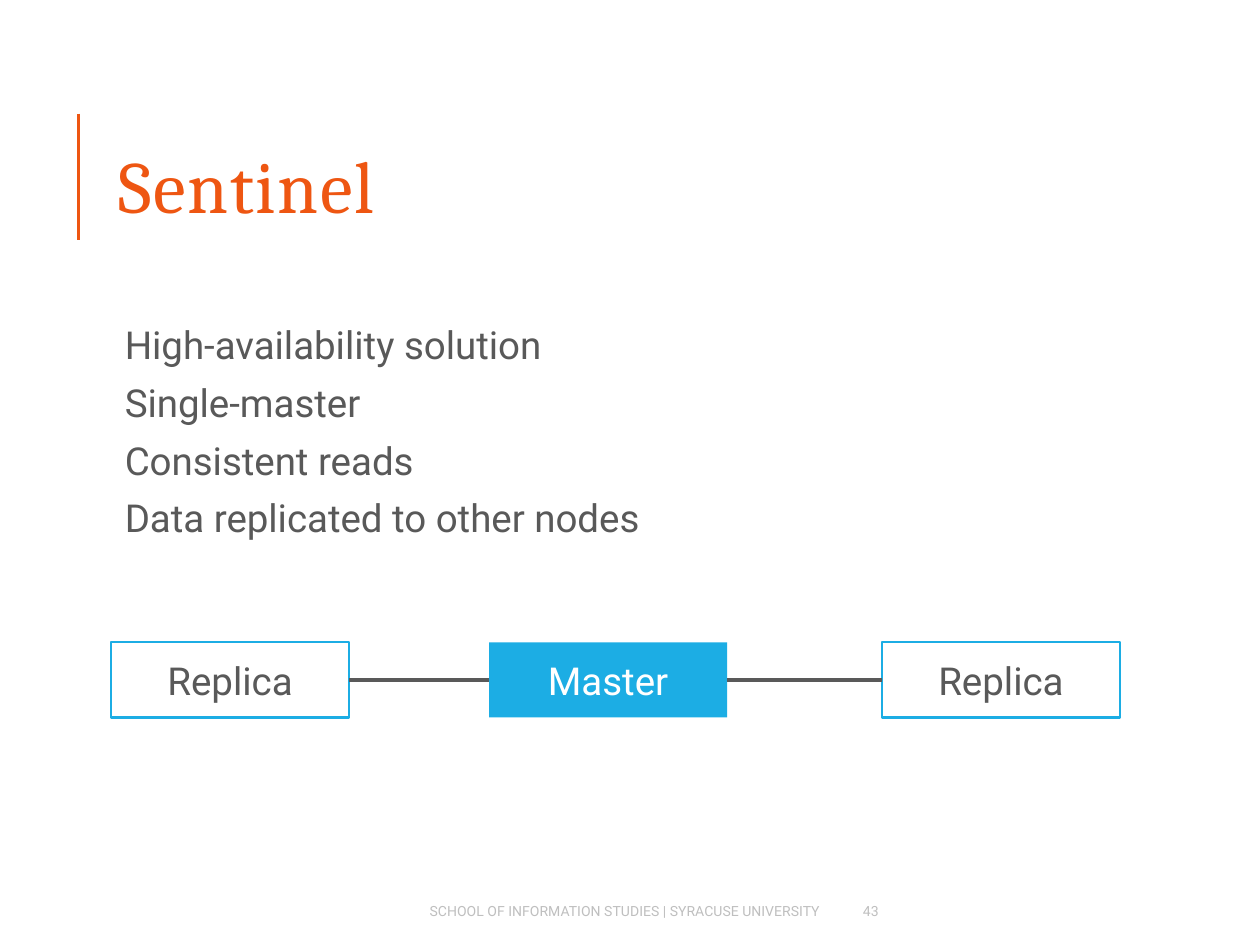
import pptx
import pptx.util
import pptx.dml.color
import pptx.enum.shapes
import pptx.enum.text
import lxml.etree

Pt = pptx.util.Pt
RGB = pptx.dml.color.RGBColor
ALIGN = pptx.enum.text.PP_ALIGN
MIDDLE = pptx.enum.text.MSO_ANCHOR.MIDDLE
TOP = pptx.enum.text.MSO_ANCHOR.TOP
ORANGE = RGB(0xEE, 0x56, 0x12)
BLUE = RGB(0x1C, 0xAD, 0xE4)
GRAY = RGB(0x59, 0x59, 0x59)
PALE = RGB(0xBF, 0xBF, 0xBF)
WHITE = RGB(0xFF, 0xFF, 0xFF)


def write(para, text, size, color, face="Roboto", align=ALIGN.LEFT):
    """Add one formatted run to a paragraph."""
    para.alignment = align
    run = para.add_run()
    run.text = text
    run.font.size = Pt(size)
    run.font.name = face
    run.font.color.rgb = color
    return run


def add_title(slide, text):
    """Place and fill the title."""
    title = slide.shapes.title
    title.left, title.top, title.width, title.height = Pt(60.5), Pt(46), Pt(574), Pt(118)
    frame = title.text_frame
    frame.auto_size = pptx.enum.text.MSO_AUTO_SIZE.NONE
    frame.vertical_anchor = MIDDLE
    run = write(frame.paragraphs[0], text, 42, ORANGE, "Cambria")
    run._r.get_or_add_rPr().set("spc", "100")


def add_text(slide, box, anchor=MIDDLE):
    """Add a wrapping text box and return its frame."""
    frame = slide.shapes.add_textbox(*map(Pt, box)).text_frame
    frame.word_wrap = True
    frame.vertical_anchor = anchor
    return frame


def add_list(slide, items):
    """Add the list of points."""
    frame = add_text(slide, (60.5, 180, 574, 139), TOP)
    frame.margin_left = Pt(10.8)
    frame.margin_right = frame.margin_top = frame.margin_bottom = Pt(3.6)
    for i, item in enumerate(items):
        para = frame.add_paragraph() if i else frame.paragraphs[0]
        para.space_before = Pt(6.6 if i else 0)
        write(para, item, 22, GRAY)


def add_node(slide, left, text, main=False):
    """Add a node box, filled when it is the main one."""
    kind = pptx.enum.shapes.MSO_SHAPE.RECTANGLE
    node = slide.shapes.add_shape(kind, Pt(left), Pt(367), Pt(136), Pt(43))
    node.shadow.inherit = False
    if main:
        node.fill.solid()
        node.fill.fore_color.rgb = BLUE
        node.line.fill.background()
    else:
        node.fill.background()
        node.line.color.rgb = BLUE
        node.line.width = Pt(1.25)
    frame = node.text_frame
    frame.vertical_anchor = MIDDLE
    write(frame.paragraphs[0], text, 22, WHITE if main else GRAY, align=ALIGN.CENTER)
    return node


def add_line(slide, ends, color, width):
    """Add a straight line without a shadow."""
    kind = pptx.enum.shapes.MSO_CONNECTOR.STRAIGHT
    line = slide.shapes.add_connector(kind, *map(Pt, ends))
    line.line.color.rgb = color
    line.line.width = Pt(width)
    tag = pptx.oxml.ns.qn("a:effectLst")
    lxml.etree.SubElement(line._element.spPr, tag)
    return line


def link(slide, left, right):
    """Join the facing sides of two nodes."""
    line = add_line(slide, (0, 0, 0, 0), GRAY, 2)
    line.begin_connect(left, 3)
    line.end_connect(right, 1)


def main():
    """Build the slide and save it."""
    deck = pptx.Presentation()
    deck.slide_width, deck.slide_height = Pt(720), Pt(540)
    slide = deck.slides.add_slide(deck.slide_layouts[5])
    add_line(slide, (44.8, 65, 44.8, 137), ORANGE, 1.5)
    add_title(slide, "Sentinel")
    add_list(slide, ("High-availability solution", "Single-master",
                     "Consistent reads", "Data replicated to other nodes"))
    foot = add_text(slide, (136, 509.5, 340, 22))
    write(foot.paragraphs[0], "SCHOOL OF INFORMATION STUDIES | SYRACUSE UNIVERSITY",
          8, PALE, align=ALIGN.RIGHT)
    number = add_text(slide, (486, 509.5, 65.5, 22))
    write(number.paragraphs[0], "43", 8, PALE)
    first = add_node(slide, 63.5, "Replica")
    master = add_node(slide, 279.5, "Master", True)
    last = add_node(slide, 504, "Replica")
    link(slide, first, master)
    link(slide, master, last)
    deck.save("out.pptx")


if __name__ == "__main__":
    main()
